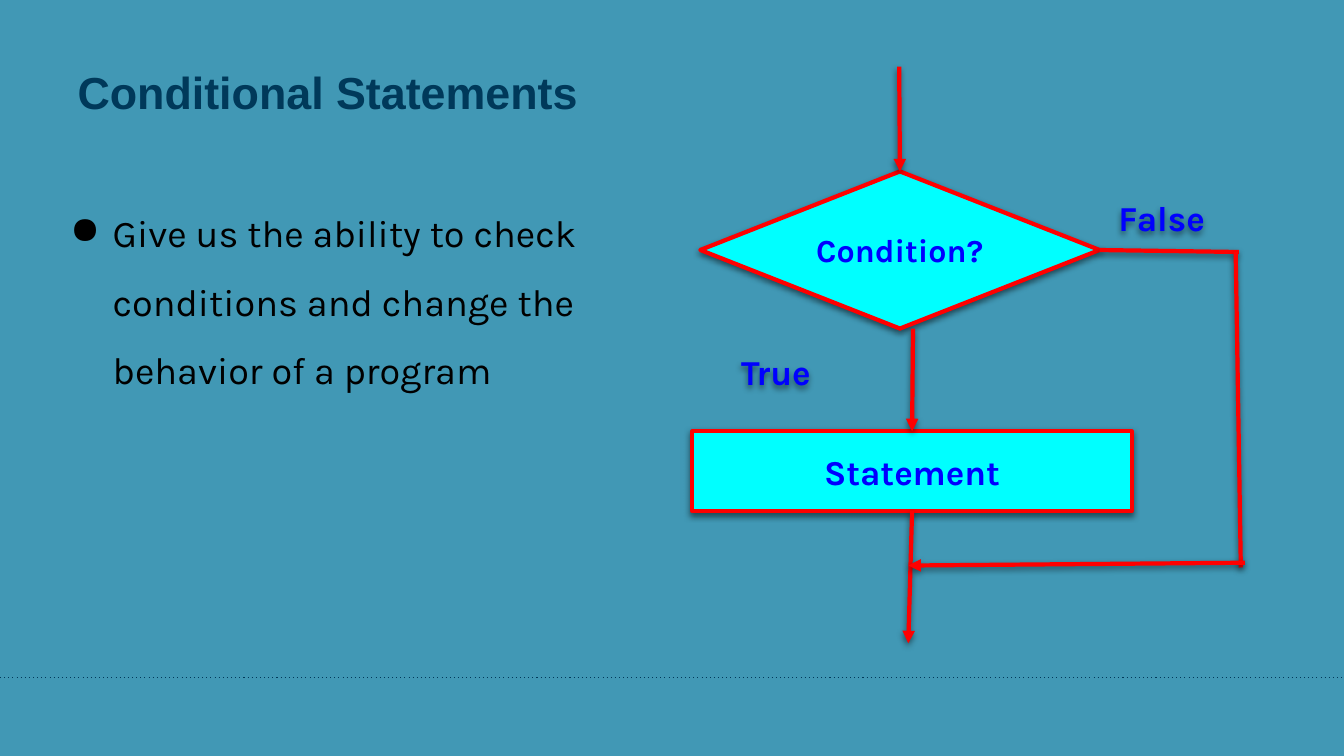
from pptx import Presentation
from pptx.dml.color import RGBColor
from pptx.enum.shapes import MSO_CONNECTOR, MSO_SHAPE
from pptx.enum.text import MSO_ANCHOR, PP_ALIGN
from pptx.oxml import parse_xml
from pptx.oxml.ns import nsdecls
from pptx.util import Cm, Pt

STRAIGHT = MSO_CONNECTOR.STRAIGHT
RECTANGLE, DIAMOND = MSO_SHAPE.RECTANGLE, MSO_SHAPE.DIAMOND
MIDDLE = MSO_ANCHOR.MIDDLE
LEFT, CENTER = PP_ALIGN.LEFT, PP_ALIGN.CENTER
TOP_SIDE, BOTTOM_SIDE, RIGHT_SIDE = 0, 2, 3

BACKGROUND = RGBColor(0x41, 0x98, 0xB5)
NAVY = RGBColor(0x00, 0x39, 0x5A)
BLACK = RGBColor(0x00, 0x00, 0x00)
RED = RGBColor(0xFF, 0x00, 0x00)
CYAN = RGBColor(0x00, 0xFF, 0xFF)
BLUE = RGBColor(0x00, 0x00, 0xFF)

PAGE_WIDTH, PAGE_HEIGHT = 33.87, 19.05


def add_element(parent, xml):
    """Append a drawing element, given without its namespace."""
    name, rest = xml[:-2].split(" ", 1) if " " in xml else (xml[:-2], "")
    parent.append(parse_xml(f"{name} {nsdecls('a')} {rest}/>"))


def add_shadow(shape):
    """Soft shadow below the shape; call after fill and line are set."""
    shape._element.spPr.append(parse_xml(
        f'<a:effectLst {nsdecls("a")}>'
        '<a:outerShdw blurRad="57150" dist="28000" dir="6060000" rotWithShape="0">'
        '<a:srgbClr val="000000"><a:alpha val="50000"/></a:srgbClr>'
        '</a:outerShdw></a:effectLst>'))


def format_text(frame, text, size, color, font="Karla", bold=True, align=CENTER):
    frame.word_wrap = True
    frame.text = text
    para = frame.paragraphs[0]
    para.alignment = align
    style = para.runs[0].font
    style.name, style.size, style.bold = font, Pt(size), bold
    style.color.rgb = color
    return para


def set_margins(frame, side, vertical):
    frame.margin_left = frame.margin_right = Cm(side)
    frame.margin_top = frame.margin_bottom = Cm(vertical)


def add_title(page, left, top, width, height):
    title = page.shapes.title
    title.left, title.top, title.width, title.height = map(Cm, (left, top, width, height))
    title.text_frame.vertical_anchor = MIDDLE
    format_text(title.text_frame, "Conditional Statements", 32, NAVY, "Arial", align=LEFT)


def add_body(page, left, top, width, height):
    box = page.shapes.add_textbox(*map(Cm, (left, top, width, height)))
    para = format_text(
        box.text_frame,
        "Give us the ability to check conditions and change the behavior of a program",
        27, BLACK, bold=False, align=LEFT)
    para.line_spacing = 1.5
    props = para._p.get_or_add_pPr()
    props.set("marL", str(Cm(1.27)))
    props.set("indent", str(-Cm(1.07)))
    props.append(parse_xml(
        f'<a:buClr {nsdecls("a")}><a:srgbClr val="{BLACK}"/></a:buClr>'))
    add_element(props, '<a:buChar char="●"/>')


def add_footer_rule(page, top):
    rule = page.shapes.add_connector(STRAIGHT, 0, Cm(top), Cm(PAGE_WIDTH), Cm(top))
    rule.line.color.rgb = NAVY
    rule.line.width = Pt(0.75)
    add_element(rule.line._get_or_add_ln(), '<a:prstDash val="dot"/>')
    add_element(rule._element.spPr, "<a:effectLst/>")


def add_flowchart(page, left, top):
    def place(x, y):
        return Cm(left + x), Cm(top + y)

    def add_step(kind, x, y, width, height, text, size):
        step = page.shapes.add_shape(kind, *place(x, y), Cm(width), Cm(height))
        step.fill.solid()
        step.fill.fore_color.rgb = CYAN
        step.line.color.rgb = RED
        step.line.width = Pt(3)
        add_shadow(step)
        set_margins(step.text_frame, 0.25, 0.25)
        step.text_frame.vertical_anchor = MIDDLE
        format_text(step.text_frame, text, size, BLUE)
        return step

    def add_flow(start, end, arrow=True, source=None, target=None):
        flow = page.shapes.add_connector(STRAIGHT, *place(*start), *place(*end))
        if source:
            flow.begin_connect(*source)
        if target:
            flow.end_connect(*target)
        flow.line.color.rgb = RED
        flow.line.width = Pt(3)
        if arrow:
            add_element(flow.line._get_or_add_ln(), '<a:tailEnd type="triangle"/>')
        add_shadow(flow)

    def add_label(x, y, width, text):
        label = page.shapes.add_textbox(*place(x, y), Cm(width), Cm(1.5))
        add_shadow(label)
        set_margins(label.text_frame, 0.25, 0.25)
        format_text(label.text_frame, text, 25, BLUE)

    # Steps
    statement = add_step(RECTANGLE, 0, 9.19, 11.07, 2.01, "Statement", 25)
    condition = add_step(DIAMOND, 0.2, 2.64, 10.06, 3.96, "Condition?", 23)

    # Main path
    add_flow((5.21, 0), (5.23, 2.64), target=(condition, TOP_SIDE))
    add_flow((5.56, 6.6), (5.54, 9.19), target=(statement, TOP_SIDE))
    add_flow((5.54, 11.2), (5.44, 14.53), source=(statement, BOTTOM_SIDE))

    # Path around the statement
    add_flow((10.26, 4.62), (13.77, 4.67), arrow=False, source=(condition, RIGHT_SIDE))
    add_flow((13.69, 4.67), (13.82, 12.62), arrow=False)
    add_flow((13.92, 12.5), (5.44, 12.57))

    # Branch labels
    add_label(0.2, 6.91, 3.81, "True")
    add_label(9.6, 3.02, 4.45, "False")


def main():
    deck = Presentation()
    deck.slide_width, deck.slide_height = Cm(PAGE_WIDTH), Cm(PAGE_HEIGHT)
    page = deck.slides.add_slide(deck.slide_layouts[5])
    page.background.fill.solid()
    page.background.fill.fore_color.rgb = BACKGROUND

    add_footer_rule(page, 17.08)
    add_title(page, 1.7, 0.71, 30.48, 3.18)
    add_body(page, 1.32, 4.6, 14.76, 8.76)
    add_flowchart(page, 17.45, 1.68)
    deck.save("out.pptx")


if __name__ == "__main__":
    main()
